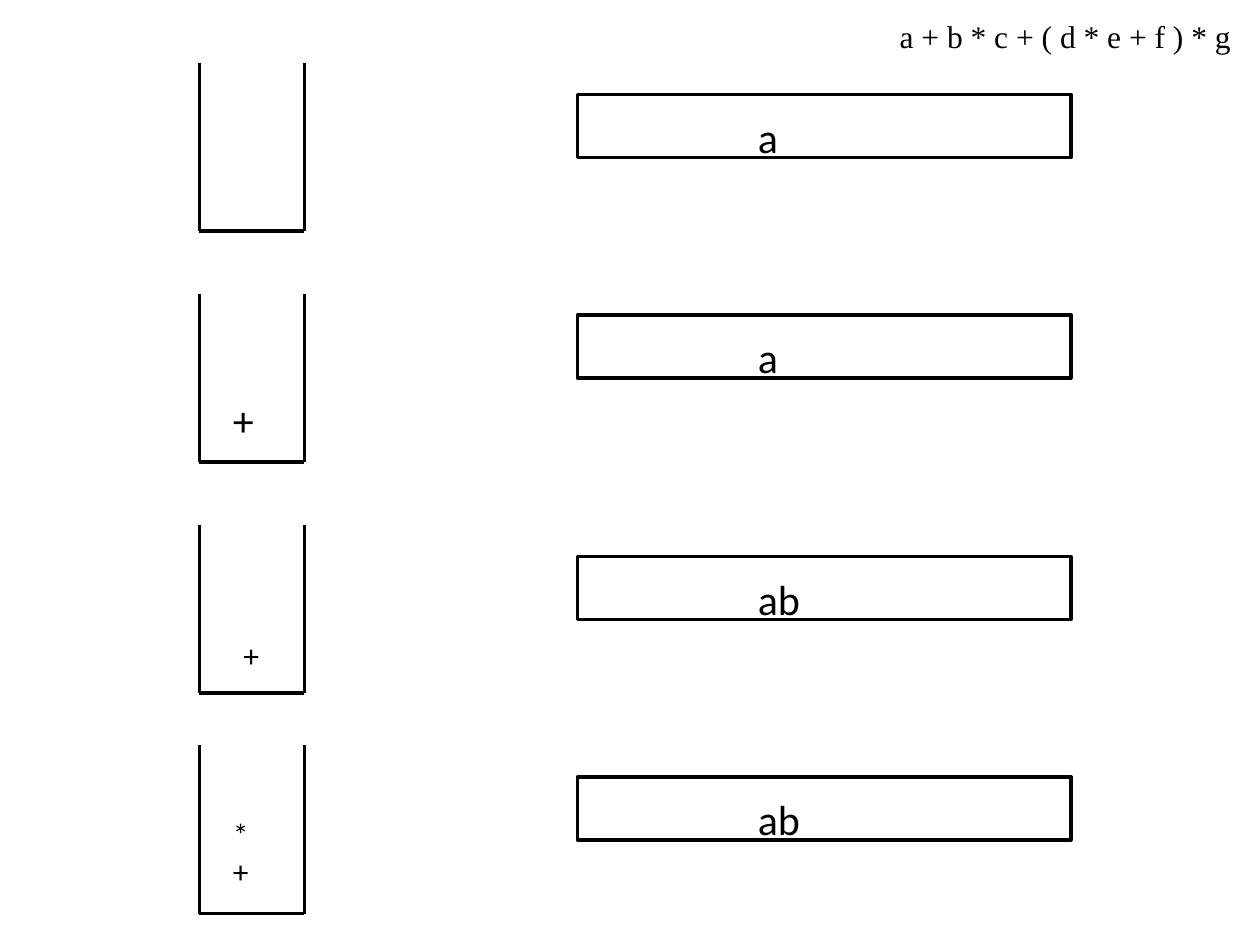
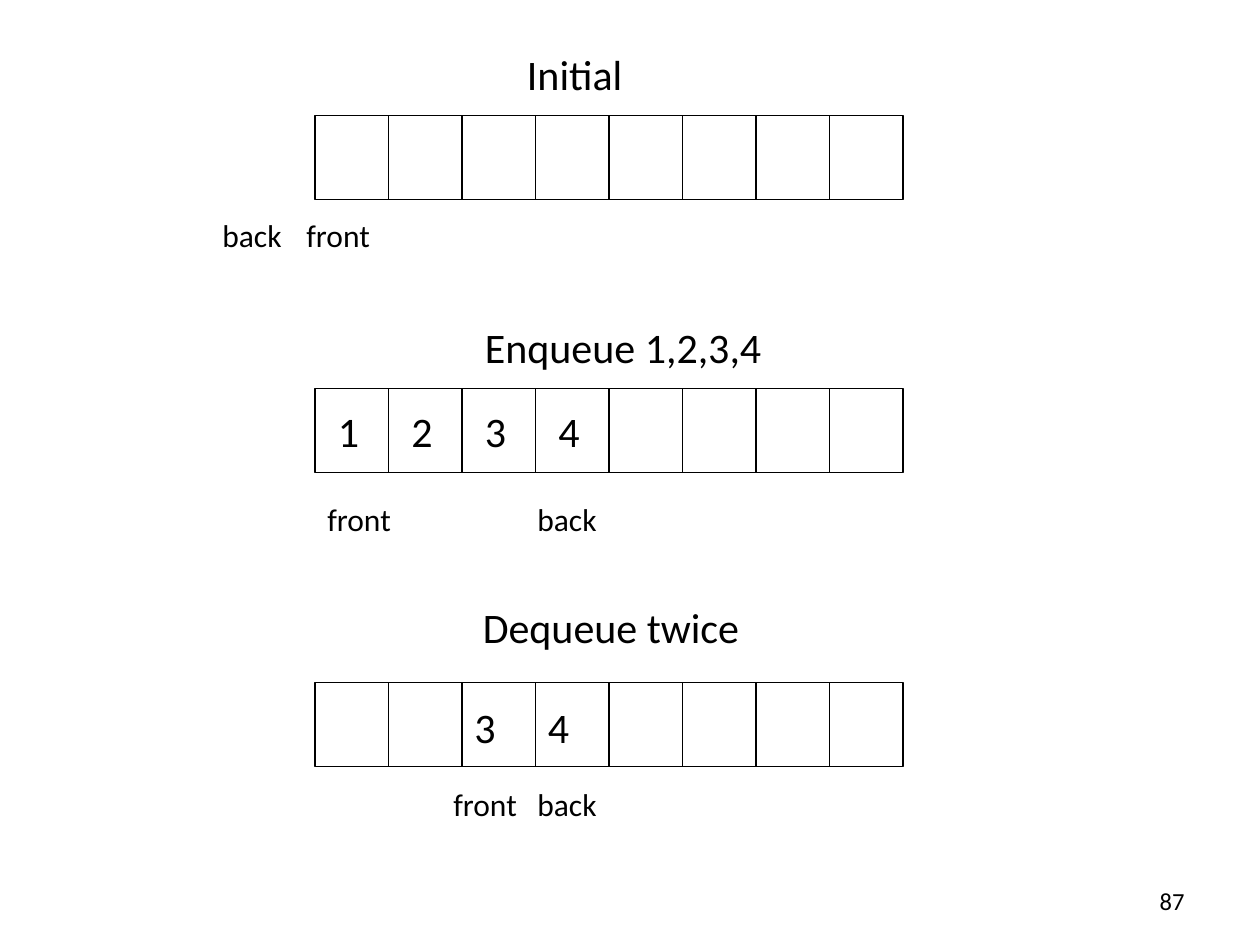
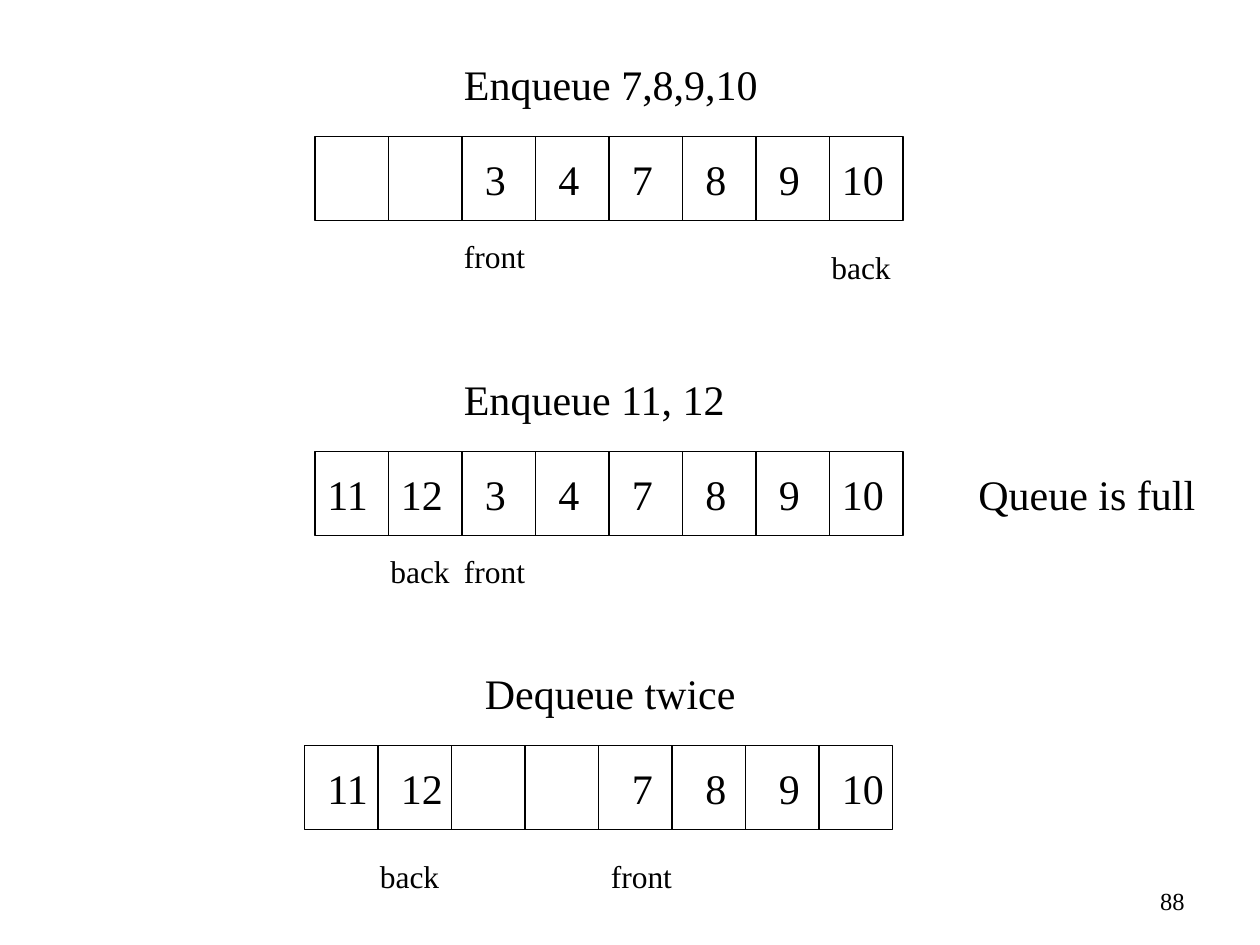
from lxml import etree
from pptx import Presentation
from pptx import util as u
from pptx.dml.color import RGBColor
from pptx.enum import shapes, text
from pptx.oxml.ns import qn

PX = u.Inches(1) // 120
COLORS = {"ink": "000000", "paper": "FFFFFF"}
SANS, SERIF = "Calibri", "Times New Roman"
LARGE, MEDIUM, SMALL = 24, 18, 14
LINE_HEIGHT = {LARGE: 60, MEDIUM: 48, SMALL: 48}
THICK, THIN = 2, 0.75

STACK_LEFT, STACK_WIDTH, STACK_HEIGHT = 190, 100, 160
OUTPUT_LEFT, OUTPUT_WIDTH, OUTPUT_HEIGHT = 550, 470, 60
CELL_COUNT, CELL_WIDTH, CELL_HEIGHT = 8, 70, 80
MARKER_WIDTHS = {"front": 86, "back": 82}


def color(name):
    return RGBColor.from_string(COLORS[name])


def add_slide(presentation):
    slide = presentation.slides.add_slide(presentation.slide_layouts[6])
    slide.background.fill.solid()
    slide.background.fill.fore_color.rgb = color("paper")
    return slide


def style_line(line, width):
    line.color.rgb = color("ink")
    line.width = u.Pt(width)


def add_line(slide, x1, y1, x2, y2, width):
    connector = slide.shapes.add_connector(
        shapes.MSO_CONNECTOR.STRAIGHT, *(PX * n for n in (x1, y1, x2, y2)))
    style_line(connector.line, width)
    etree.SubElement(connector._element.spPr, qn("a:effectLst"))


def add_frame(slide, left, top, width, height, line_width):
    shape = slide.shapes.add_shape(
        shapes.MSO_SHAPE.RECTANGLE, *(PX * n for n in (left, top, width, height)))
    shape.shadow.inherit = False
    shape.fill.background()
    style_line(shape.line, line_width)


def add_text(slide, words, left, top, width, size=LARGE, font=SANS, wrap=False,
             align=text.PP_ALIGN.LEFT, anchor=text.MSO_ANCHOR.TOP,
             auto_size=text.MSO_AUTO_SIZE.SHAPE_TO_FIT_TEXT):
    """Write words in a box, one paragraph for each line."""
    lines = words.split("\n")
    height = LINE_HEIGHT[size] * len(lines)
    shape = slide.shapes.add_textbox(*(PX * n for n in (left, top, width, height)))
    frame = shape.text_frame
    frame_format = {"word_wrap": wrap, "vertical_anchor": anchor,
                    "auto_size": auto_size, "text": words}
    for name, value in frame_format.items():
        setattr(frame, name, value)
    for paragraph in frame.paragraphs:
        paragraph.alignment = align
        for name, value in {"size": u.Pt(size), "name": font}.items():
            setattr(paragraph.font, name, value)
        paragraph.font.color.rgb = color("ink")


def add_page_number(slide, number, font):
    add_text(slide, str(number), 860, 834, 280, SMALL, font, wrap=True,
             align=text.PP_ALIGN.RIGHT, anchor=text.MSO_ANCHOR.MIDDLE,
             auto_size=text.MSO_AUTO_SIZE.NONE)


def add_stack(slide, top):
    """Draw a stack as a vessel that is open at the top."""
    right, bottom = STACK_LEFT + STACK_WIDTH, top + STACK_HEIGHT
    corners = [(STACK_LEFT, top), (STACK_LEFT, bottom), (right, bottom), (right, top)]
    for start, end in zip(corners, corners[1:]):
        add_line(slide, *start, *end, THICK)


def add_output(slide, top, words):
    add_frame(slide, OUTPUT_LEFT, top, OUTPUT_WIDTH, OUTPUT_HEIGHT, THICK)
    add_text(slide, words, OUTPUT_LEFT + 160, top + 10, 230, wrap=True)


def add_queue(slide, font, top, values, left=300, shift=(0, 10)):
    """Draw the cells and their values; shift moves the values in the cells."""
    add_frame(slide, left, top, CELL_COUNT * CELL_WIDTH, CELL_HEIGHT, THIN)
    for index in range(1, CELL_COUNT):
        x = left + index * CELL_WIDTH
        add_line(slide, x, top, x, top + CELL_HEIGHT, THIN)
    for index, value in values.items():
        indent, width = (10, 44) if value < 10 else (0, 64)
        add_text(slide, str(value), left + index * CELL_WIDTH + indent + shift[0],
                 top + shift[1], width, font=font)


def add_markers(slide, font, **places):
    for name, (left, top) in places.items():
        add_text(slide, name, left, top, MARKER_WIDTHS[name], MEDIUM, font)


def build_expression_slide(presentation):
    slide = add_slide(presentation)
    steps = [(60, 90, "a"), (280, 300, "a"), (500, 530, "ab"), (710, 740, "ab")]
    for stack_top, output_top, output in steps:
        add_stack(slide, stack_top)
        add_output(slide, output_top, output)
    add_text(slide, "+", 210, 370, 44)
    add_text(slide, "+", 220, 600, 40, MEDIUM)
    add_text(slide, "*\n+", 210, 770, 40, MEDIUM)
    add_text(slide, "a + b * c + ( d * e + f ) * g", 845, 10, 343, MEDIUM, SERIF)


def build_first_queue_slide(presentation):
    slide = add_slide(presentation)
    add_text(slide, "Initial", 490, 40, 119)
    add_queue(slide, SANS, 110, {})
    add_markers(slide, SANS, front=(280, 200), back=(200, 200))

    add_text(slide, "Enqueue 1,2,3,4", 450, 300, 290)
    add_queue(slide, SANS, 370, dict(enumerate([1, 2, 3, 4])))
    add_markers(slide, SANS, front=(300, 470), back=(500, 470))

    add_text(slide, "Dequeue twice", 448, 567, 271)
    add_queue(slide, SANS, 650, {2: 3, 3: 4}, shift=(-10, 12))
    add_markers(slide, SANS, front=(420, 742), back=(500, 742))
    add_page_number(slide, 87, SANS)


def build_second_queue_slide(presentation):
    slide = add_slide(presentation)
    newest = dict(enumerate([7, 8, 9, 10], start=4))
    middle = {2: 3, 3: 4}
    wrapped = {0: 11, 1: 12}

    add_text(slide, "Enqueue 7,8,9,10", 430, 50, 304, font=SERIF)
    add_queue(slide, SERIF, 130, middle | newest)
    add_markers(slide, SERIF, front=(430, 220), back=(780, 230))

    add_text(slide, "Enqueue 11, 12", 430, 350, 274, font=SERIF)
    add_queue(slide, SERIF, 430, wrapped | middle | newest)
    add_markers(slide, SERIF, front=(430, 520), back=(360, 520))
    add_text(slide, "Queue is full", 920, 440, 232, font=SERIF)

    add_text(slide, "Dequeue twice", 450, 630, 263, font=SERIF)
    add_queue(slide, SERIF, 710, wrapped | newest, left=290, shift=(10, 10))
    add_markers(slide, SERIF, front=(570, 810), back=(350, 810))
    add_page_number(slide, 88, SERIF)


def main():
    presentation = Presentation()
    presentation.slide_width, presentation.slide_height = 1200 * PX, 900 * PX
    build_expression_slide(presentation)
    build_first_queue_slide(presentation)
    build_second_queue_slide(presentation)
    presentation.save("out.pptx")


if __name__ == "__main__":
    main()
